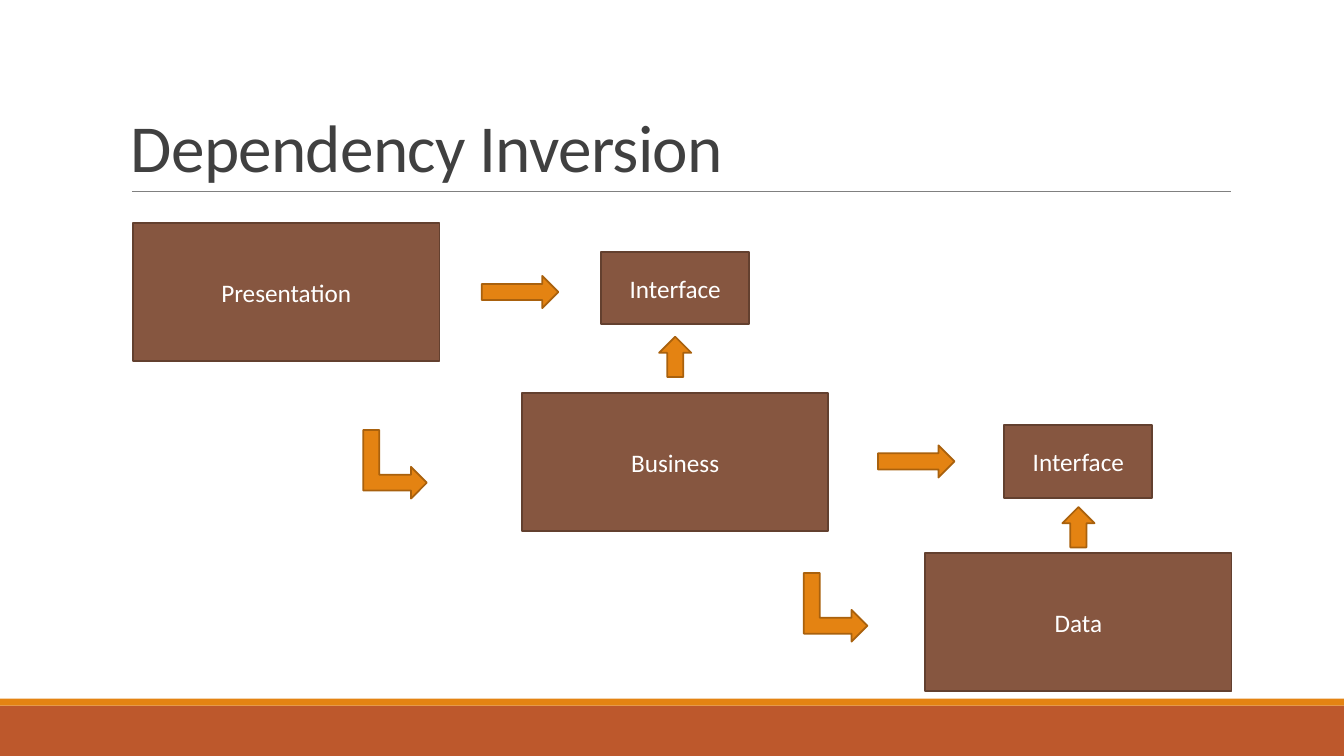
"""Build the Dependency Inversion slide: three layers joined through interfaces."""
from dataclasses import dataclass

from lxml.etree import SubElement
from pptx import Presentation
from pptx.dml.color import RGBColor
from pptx.enum.shapes import MSO_CONNECTOR, MSO_SHAPE
from pptx.enum.text import MSO_ANCHOR, PP_ALIGN
from pptx.oxml.ns import qn
from pptx.util import Pt


@dataclass(frozen=True)
class Theme:
    font: str = "Calibri"
    title_size: float = 48
    body_size: float = 18
    outline: float = 1.25
    title: str = "404040"
    text: str = "FFFFFF"
    rule: str = "808080"
    box: str = "865640"
    box_line: str = "63402F"
    arrow: str = "E48312"
    arrow_line: str = "A9610D"
    footer: str = "BD582C"


THEME = Theme()
LAYER = (218.9, 98.6)
INTERFACE = (105.8, 51.8)
ACROSS = (54.7, 23)
UP = (28.8, 23)
BENT = (49, 45.4)


def write(s, text, size=THEME.body_size, color=THEME.text, align=PP_ALIGN.CENTER,
          anchor=MSO_ANCHOR.MIDDLE, leading=None, tracking=None):
    """Put one formatted paragraph in a shape."""
    tf = s.text_frame
    tf.word_wrap = True
    tf.vertical_anchor = anchor
    p = tf.paragraphs[0]
    p.alignment = align
    p.line_spacing = leading
    r = p.add_run()
    r.text = text
    r.font.name = THEME.font
    r.font.size = Pt(size)
    r.font.color.rgb = RGBColor.from_string(color)
    if tracking is not None:
        r.font._element.set("spc", str(round(tracking * 100)))


def add_shape(slide, kind, left, top, width, height, fill, line=None):
    """Add a flat filled shape, outlined if a line colour is given."""
    s = slide.shapes.add_shape(kind, Pt(left), Pt(top), Pt(width), Pt(height))
    s.shadow.inherit = False
    s.fill.solid()
    s.fill.fore_color.rgb = RGBColor.from_string(fill)
    if line:
        s.line.color.rgb = RGBColor.from_string(line)
        s.line.width = Pt(THEME.outline)
    else:
        s.line.fill.background()
    return s


def add_box(slide, text, center, size):
    """Add a labelled box around a centre point."""
    (x, y), (w, h) = center, size
    s = add_shape(slide, MSO_SHAPE.RECTANGLE, x - w / 2, y - h / 2, w, h,
                  THEME.box, THEME.box_line)
    write(s, text)


def add_arrow(slide, center, size, kind=MSO_SHAPE.RIGHT_ARROW, rotation=0):
    """Add a block arrow around a centre point."""
    (x, y), (w, h) = center, size
    s = add_shape(slide, kind, x - w / 2, y - h / 2, w, h,
                  THEME.arrow, THEME.arrow_line)
    s.rotation = rotation


def add_rule(slide, left, right, y):
    """Add the thin line under the title."""
    c = slide.shapes.add_connector(MSO_CONNECTOR.STRAIGHT, Pt(left), Pt(y), Pt(right), Pt(y))
    c.line.color.rgb = RGBColor.from_string(THEME.rule)
    c.line.width = Pt(0.5)
    SubElement(c._element.spPr, qn("a:effectLst"))


def add_title(slide, text):
    """Add the slide title."""
    s = slide.shapes.add_textbox(Pt(86.4), Pt(22.3), Pt(792), Pt(114.5))
    write(s, text, size=THEME.title_size, color=THEME.title, align=PP_ALIGN.LEFT,
          anchor=MSO_ANCHOR.BOTTOM, leading=0.85, tracking=-0.5)


def main():
    """Build and save the slide."""
    prs = Presentation()
    prs.slide_width, prs.slide_height = Pt(960), Pt(540)
    slide = prs.slides.add_slide(prs.slide_layouts[6])

    add_shape(slide, MSO_SHAPE.RECTANGLE, 0, 504, 960, 36, THEME.footer)
    add_shape(slide, MSO_SHAPE.RECTANGLE, 0, 499, 960, 5, THEME.arrow)
    add_rule(slide, 94.3, 879, 136.8)
    add_title(slide, "Dependency Inversion")

    layers = {"Presentation": (204.5, 208.6), "Business": (482.3, 330.2),
              "Data": (770.3, 444.6)}
    for name, center in layers.items():
        add_box(slide, name, center, LAYER)
    for center in ((282.2, 331.6), (596.9, 433.8)):
        add_arrow(slide, center, BENT, MSO_SHAPE.BENT_UP_ARROW, 90)

    links = (("Business", 205.7, 254.9, (371.5, 208.6)),
             ("Data", 329.6, 376.6, (654.5, 329.6)))
    for layer, interface_y, up_y, across in links:
        x = layers[layer][0]
        add_box(slide, "Interface", (x, interface_y), INTERFACE)
        add_arrow(slide, across, ACROSS)
        add_arrow(slide, (x, up_y), UP, rotation=270)

    prs.save("out.pptx")


if __name__ == "__main__":
    main()
